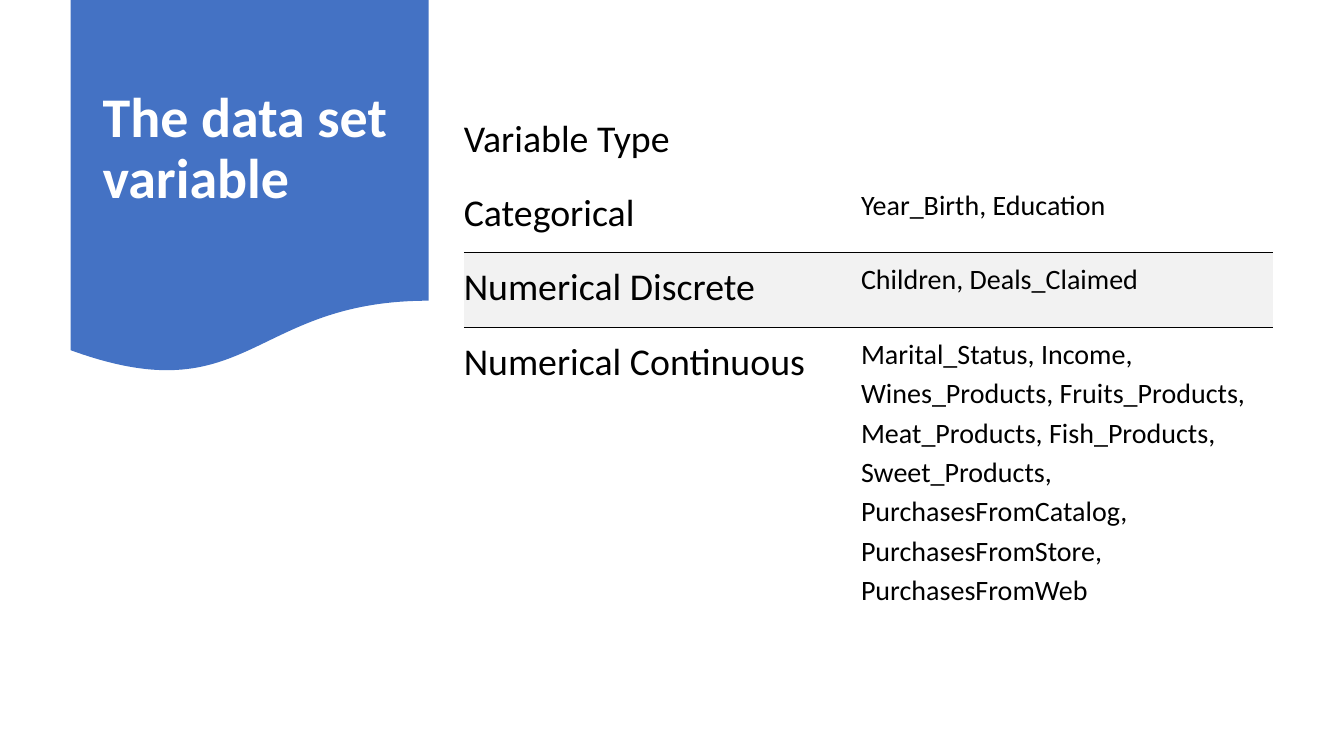
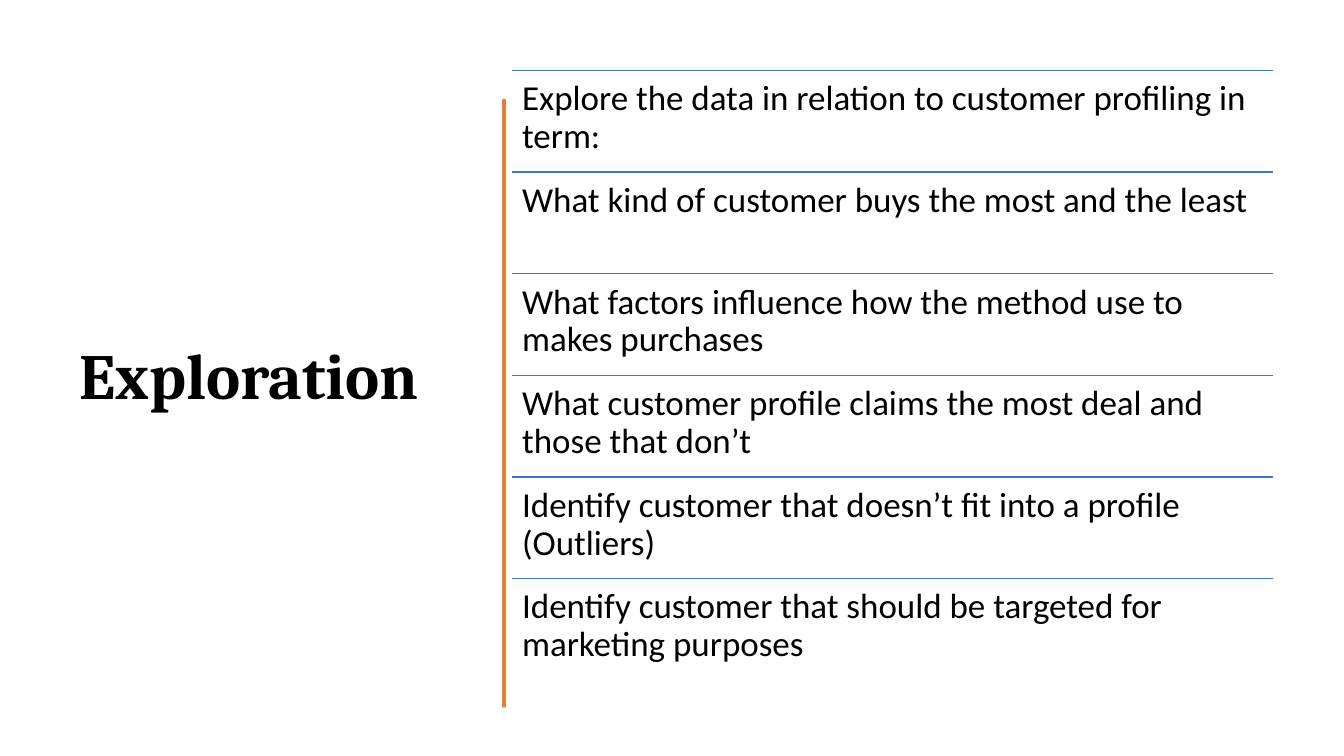
from lxml import etree
from pptx import Presentation
from pptx import util as u
from pptx.dml.color import RGBColor
from pptx.enum import shapes, text
from pptx.oxml import parse_xml
from pptx.oxml.ns import nsdecls, qn

BLUE = RGBColor(0x44, 0x72, 0xC4)
ORANGE = RGBColor(0xED, 0x7D, 0x31)
GREY = RGBColor(0xF2, 0xF2, 0xF2)
BLACK = RGBColor(0, 0, 0)
WHITE = RGBColor(0xFF, 0xFF, 0xFF)
NO_STYLE = "{2D5ABB26-0587-4C30-8999-92F81FD0307C}"

VARIABLES = [
    ("Variable Type", ""),
    ("Categorical", "Year_Birth, Education"),
    ("Numerical Discrete", "Children, Deals_Claimed"),
    ("Numerical Continuous",
     "Marital_Status, Income, Wines_Products, Fruits_Products, Meat_Products, "
     "Fish_Products, Sweet_Products, PurchasesFromCatalog, PurchasesFromStore, "
     "PurchasesFromWeb"),
]
COL_WIDTHS = (3.94, 4.09)
ROW_HEIGHTS = (0.7, 0.74, 0.74, 3.25)
SHADED_ROW = 2

QUESTIONS = [
    "Explore the data in relation to customer profiling in term:",
    "What kind of customer buys the most and the least",
    "What factors influence how the method use to makes purchases",
    "What customer profile claims the most deal and those that don’t",
    "Identify customer that doesn’t fit into a profile (Outliers)",
    "Identify customer that should be targeted for marketing purposes",
]
LIST_LEFT, LIST_TOP, LIST_WIDTH, LIST_STEP = 5.08, 0.7, 7.55, 1.008

# Hand-drawn rule: down its right edge, then up its left edge
STROKE = [
    (4.75, 0.84), (4.76, 1.15), (4.74, 1.75), (4.75, 2.26), (4.75, 2.94),
    (4.76, 3.4), (4.75, 3.7), (4.77, 4.15), (4.74, 4.6), (4.75, 5.1),
    (4.77, 5.5), (4.75, 5.84), (4.75, 6.76),
    (4.73, 6.76), (4.73, 6.13), (4.73, 5.57), (4.74, 5.1), (4.73, 4.71),
    (4.72, 4.4), (4.74, 3.86), (4.72, 3.35), (4.73, 2.5), (4.72, 1.81),
    (4.74, 1.3), (4.73, 0.84),
]


def inches(*values):
    return [u.Inches(v) for v in values]


def write(tf, content, size, color=BLACK, font="Calibri", bold=False,
          insets=(0.1, 0.05, 0.1, 0.05), anchor=None, **paragraph):
    """Fill a text frame or table cell with one formatted paragraph."""
    for side, value in zip(("left", "top", "right", "bottom"), insets):
        setattr(tf, f"margin_{side}", u.Inches(value))
    tf.word_wrap = True
    tf.vertical_anchor = anchor or text.MSO_ANCHOR.TOP
    p = getattr(tf, "text_frame", tf).paragraphs[0]
    for name, value in paragraph.items():
        setattr(p, name, value)
    r = p.add_run()
    r.text = content
    for name, value in dict(size=u.Pt(size), name=font, bold=bold).items():
        setattr(r.font, name, value)
    r.font.color.rgb = color


def add_text(s, box, content, size, **style):
    write(s.shapes.add_textbox(*inches(*box)).text_frame, content, size,
          line_spacing=0.9, **style)


def add_title(s, box, content, size, **style):
    add_text(s, box, content, size, bold=True,
             anchor=text.MSO_ANCHOR.MIDDLE, **style)


def add_border(cell, side):
    cell._tc.get_or_add_tcPr().insert(0, parse_xml(
        f'<a:ln{side} {nsdecls("a")} w="9525"><a:solidFill>'
        f'<a:srgbClr val="{BLACK}"/></a:solidFill></a:ln{side}>'))


def add_variable_table(s):
    frame = s.shapes.add_table(
        len(VARIABLES), len(COL_WIDTHS),
        *inches(4.6, 1.06, sum(COL_WIDTHS), sum(ROW_HEIGHTS)))
    table = frame.table
    table.first_row = table.horz_banding = False
    table._tbl.tblPr.find(qn("a:tableStyleId")).text = NO_STYLE
    for col, width in zip(table.columns, COL_WIDTHS):
        col.width = u.Inches(width)
    for row, height in zip(table.rows, ROW_HEIGHTS):
        row.height = u.Inches(height)
    table.cell(0, 0).merge(table.cell(0, 1))
    last = len(VARIABLES) - 1
    for i, row in enumerate(VARIABLES):
        for j, content in enumerate(row):
            cell = table.cell(i, j)
            if cell.is_spanned:
                continue
            left_aligned = i == last and j == 1
            write(cell, content, 20 if j else 27,
                  insets=(0, 0.05 if i else 0.03, 0.12, 0.16),
                  anchor=None if i else text.MSO_ANCHOR.BOTTOM,
                  alignment=(text.PP_ALIGN.LEFT if left_aligned
                             else text.PP_ALIGN.JUSTIFY),
                  line_spacing=1.15, space_after=u.Pt(5))
            if i == SHADED_ROW:
                cell.fill.solid()
                cell.fill.fore_color.rgb = GREY
                add_border(cell, "T")
            else:
                cell.fill.background()
            if i == SHADED_ROW - 1:
                add_border(cell, "B")


def add_rule(s, x, y, width):
    line = s.shapes.add_connector(shapes.MSO_CONNECTOR.STRAIGHT,
                                  *inches(x, y, x + width, y))
    line.line.color.rgb = BLUE
    line.line.width = u.Pt(1)
    etree.SubElement(line._element.spPr, qn("a:effectLst"))


def add_stroke(s):
    builder = s.shapes.build_freeform(*STROKE[0], scale=u.Inches(1))
    builder.add_line_segments(STROKE[1:], close=True)
    sp = builder.convert_to_shape()
    sp.shadow.inherit = False
    sp.fill.solid()
    sp.fill.fore_color.rgb = sp.line.color.rgb = ORANGE
    sp.line.width = u.Pt(3.25)


def build_variables(s):
    banner = s.shapes.add_shape(shapes.MSO_SHAPE.FLOWCHART_DOCUMENT,
                                *inches(0.7, 0, 3.55, 3.72))
    banner.shadow.inherit = False
    banner.fill.solid()
    banner.fill.fore_color.rgb = BLUE
    banner.line.fill.background()
    add_title(s, (0.92, 0.19, 3.11, 2.59), "The data set variable", 40,
              color=WHITE)
    add_variable_table(s)


def build_exploration(s):
    add_title(s, (0.69, 0.7, 3.74, 6.11), "Exploration", 46, font="Cambria")
    add_stroke(s)
    for i, question in enumerate(QUESTIONS):
        y = LIST_TOP + i * LIST_STEP
        add_rule(s, LIST_LEFT, y, LIST_WIDTH)
        add_text(s, (LIST_LEFT, y, LIST_WIDTH, LIST_STEP), question, 25,
                 insets=(0.1,) * 4)


def main():
    prs = Presentation()
    prs.slide_width, prs.slide_height = inches(13.33, 7.5)
    for build in (build_variables, build_exploration):
        build(prs.slides.add_slide(prs.slide_layouts[6]))
    prs.save("out.pptx")


if __name__ == "__main__":
    main()
